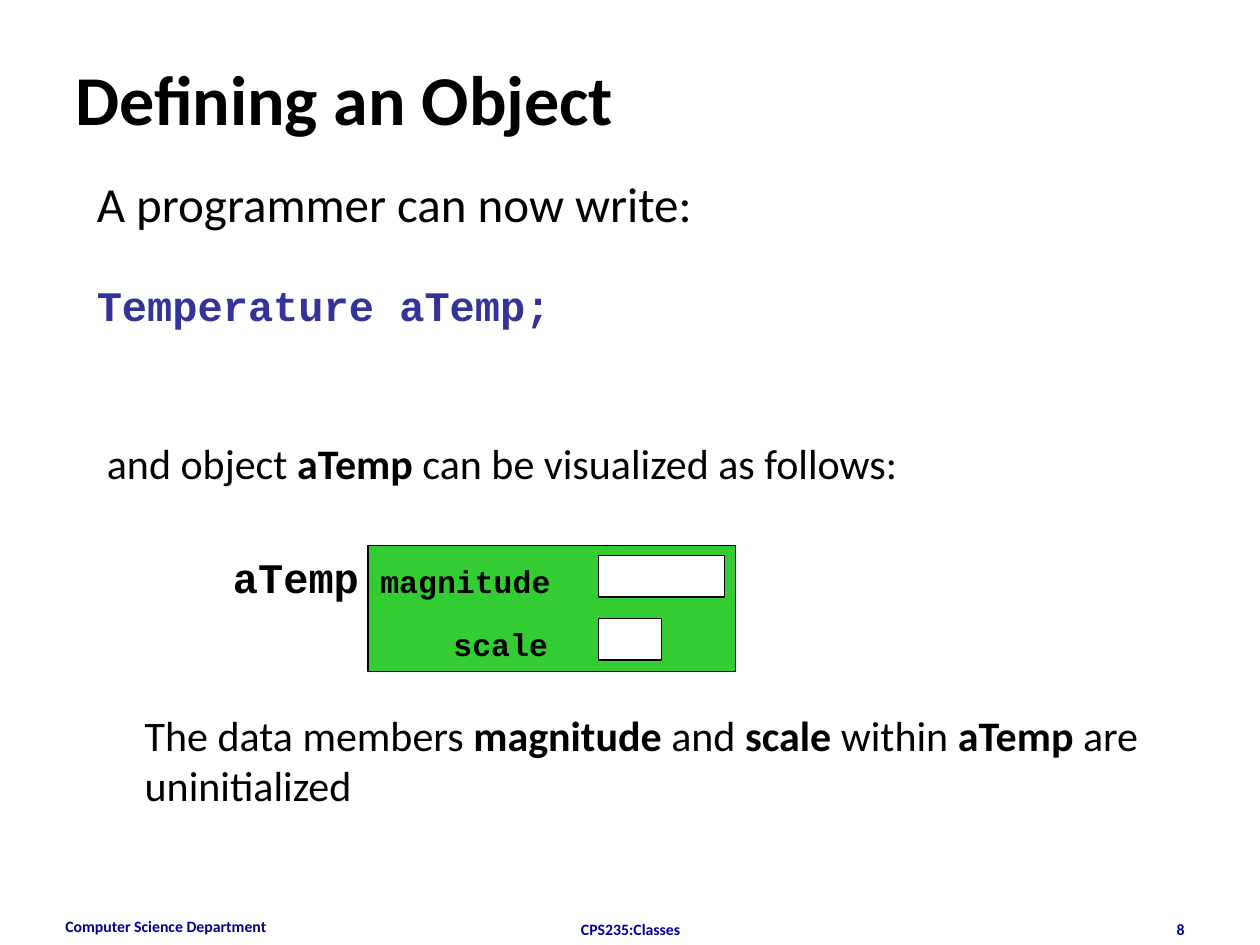
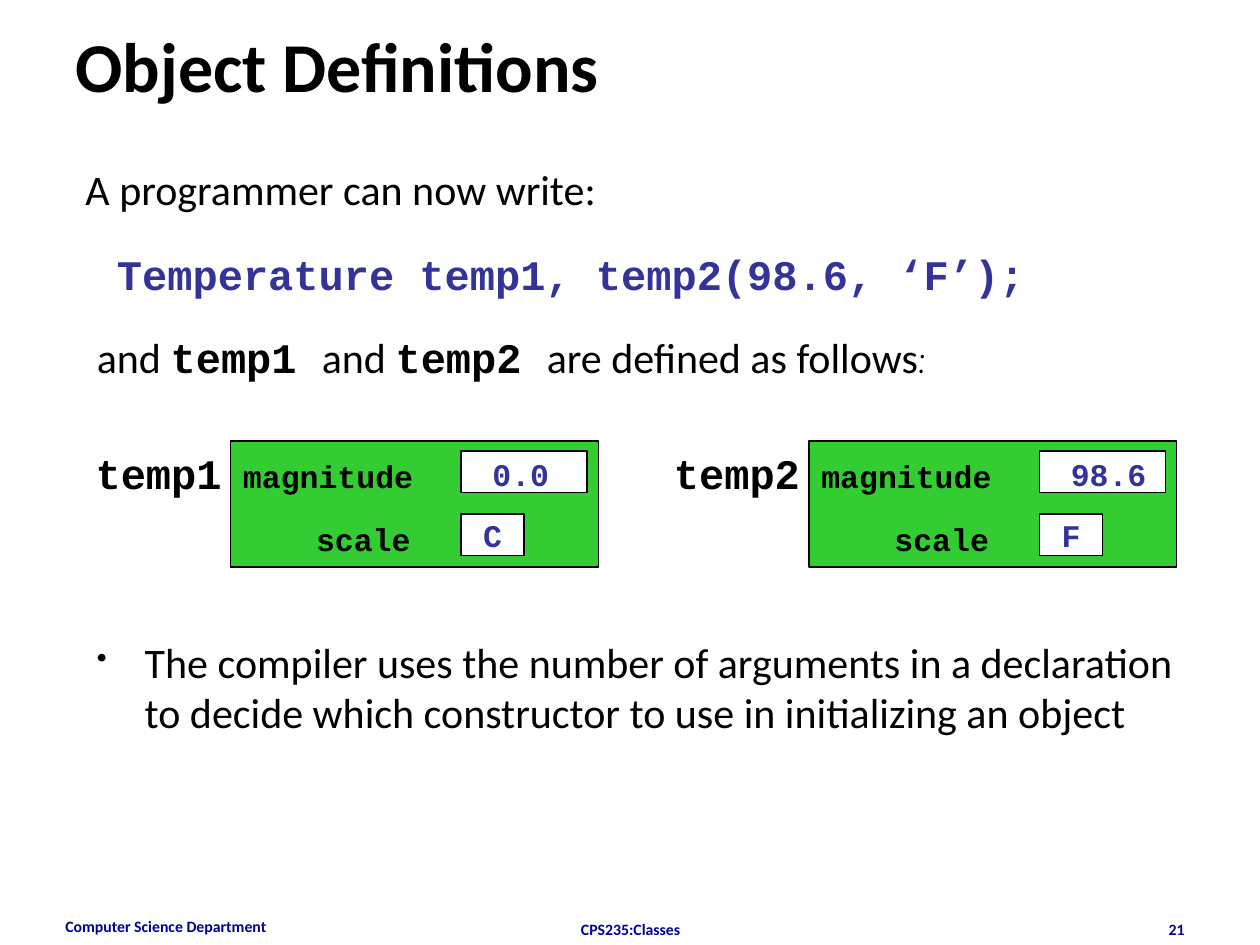
from lxml import etree
from pptx import Presentation
from pptx.dml.color import RGBColor
from pptx.enum.shapes import MSO_SHAPE as SHAPE
from pptx.enum.text import MSO_ANCHOR as ANCHOR, PP_ALIGN as ALIGN
from pptx.oxml.ns import qn
from pptx.util import Inches, Pt

COLORS = {"text": "000000", "code": "333399", "footer": "000099",
          "object": "33CC33", "member": "FFFFFF"}
SANS, MONO, COMIC = "Calibri", "Courier New", "Comic Neue"


def write(frame, runs, size=24, font=SANS, bold=False, color="text",
          align=ALIGN.LEFT, wrap=True, indent=0, bullet=None, spacing=None):
    """Fill a frame with one paragraph; each run is (text, font, bold)."""
    frame.word_wrap = wrap
    paragraph = frame.paragraphs[0]
    paragraph.alignment = align
    if spacing:
        paragraph.line_spacing = spacing
    properties = paragraph._p.get_or_add_pPr()
    if indent:
        properties.set("marL", str(Inches(indent)))
    if bullet:
        properties.set("indent", str(-Inches(indent)))
        bullet_color = etree.SubElement(properties, qn("a:buClr"))
        etree.SubElement(bullet_color, qn("a:srgbClr"), val=COLORS[color])
        etree.SubElement(properties, qn("a:buSzPct"), val="70000")
        etree.SubElement(properties, qn("a:buChar"), char=bullet)
    paragraph.font.size = Pt(size)
    paragraph.font.color.rgb = RGBColor.from_string(COLORS[color])
    if isinstance(runs, str):
        paragraph.font.name, paragraph.font.bold = font, bold
        paragraph.add_run().text = runs
        return
    for text, run_font, run_bold in runs:
        run = paragraph.add_run()
        run.text = text
        run.font.name, run.font.bold = run_font, run_bold


def draw_object(slide, left, top, name, magnitude="", scale=""):
    """Draw a Temperature object: its name, its box and its two members."""
    parts = slide.shapes.add_group_shape().shapes
    boxes = []
    for dx, dy, width, height, fill in ((0, 0, 2.92, 1, "object"),
                                        (1.83, 0.08, 1, 0.33, "member"),
                                        (1.83, 0.58, 0.5, 0.33, "member")):
        box = parts.add_shape(SHAPE.RECTANGLE, Inches(left + dx), Inches(top + dy),
                              Inches(width), Inches(height))
        box.shadow.inherit = False
        box.fill.solid()
        box.fill.fore_color.rgb = RGBColor.from_string(COLORS[fill])
        box.line.color.rgb = RGBColor.from_string(COLORS["text"])
        box.line.width = Pt(0.75)
        boxes.append(box)

    for dx, dy, width, height, label, size in ((0, 0.08, 2.08, 0.4, "magnitude", 18),
                                               (0.58, 0.58, 2.08, 0.4, "scale", 18),
                                               (-1.17, 0, 1.25, 0.5, name, 24)):
        label_box = parts.add_textbox(Inches(left + dx), Inches(top + dy),
                                      Inches(width), Inches(height))
        write(label_box.text_frame, label, size, MONO, True)

    if magnitude:
        value_box = parts.add_textbox(Inches(left + 1.98), Inches(top + 0.06),
                                      Inches(0.2 + 0.15 * len(magnitude)), Inches(0.4))
        write(value_box.text_frame, magnitude, 18, MONO, True, "code", wrap=False)
    if scale:
        scale_frame = boxes[2].text_frame
        scale_frame.vertical_anchor = ANCHOR.MIDDLE
        write(scale_frame, scale, 18, MONO, True, "code", ALIGN.CENTER, wrap=False)


prs = Presentation()
prs.slide_width, prs.slide_height = Inches(10), Inches(7.5)

TITLE = {"size": 40, "bold": True}
CODE = {"font": MONO, "bold": True, "color": "code", "spacing": 0.8}

# Content of each slide: number, text boxes (place, runs, style), objects
slides = [
    (8, [
        ((0.5, 0.3, 9, 0.95), "Defining an Object", TITLE),
        ((0.67, 1.33, 9.08, 5.5), "A programmer can now write:", {"size": 28}),
        ((0.67, 2.25, 9.33, 0.67), "Temperature aTemp;", CODE),
        ((0.75, 3.42, 9.08, 0.75),
         [("and object ", SANS, False), ("aTemp", SANS, True),
          (" can be visualized as follows:", SANS, False)], {}),
        ((0.67, 5.58, 9.08, 1.25),
         [("The data members ", SANS, False), ("magnitude", SANS, True),
          (" and ", SANS, False), ("scale", SANS, True), (" within ", SANS, False),
          ("aTemp", SANS, True), (" are uninitialized", SANS, False)],
         {"indent": 0.38}),
    ], [(2.92, 4.33, "aTemp")]),
    (21, [
        ((0.5, 0.13, 8.25, 0.7), "Object Definitions", TITLE),
        ((0.58, 1.25, 9.08, 0.75), "A programmer can now write:", {}),
        ((0.83, 2, 7.92, 0.67), "Temperature temp1, temp2(98.6, ‘F’);", CODE),
        ((0.67, 2.58, 9.08, 0.75),
         [("and ", SANS, False), ("temp1 ", MONO, True), ("and ", SANS, False),
          ("temp2 ", MONO, True), ("are defined as follows", SANS, False),
          (":", COMIC, False)], {}),
        ((0.67, 5, 9.08, 1.42),
         "The compiler uses the number of arguments in a declaration "
         "to decide which constructor to use in initializing an object",
         {"indent": 0.38, "bullet": "•"}),
    ], [(1.83, 3.5, "temp1", "0.0", "C"), (6.42, 3.5, "temp2", "98.6", "F")]),
]

for number, texts, objects in slides:
    slide = prs.slides.add_slide(prs.slide_layouts[6])

    # Footer
    for place, text, align in (
            ((0.42, 7.23, 2.33, 0.27), "Computer Science Department", ALIGN.LEFT),
            ((3.42, 7.25, 3.17, 0.1), "CPS235:Classes", ALIGN.CENTER),
            ((7.17, 7.25, 2.33, 0.1), str(number), ALIGN.RIGHT)):
        footer = slide.shapes.add_textbox(*map(Inches, place))
        write(footer.text_frame, text, 9, bold=True, color="footer", align=align)

    # Title and body text
    for place, runs, style in texts:
        body = slide.shapes.add_textbox(*map(Inches, place))
        if number == 8 and style is TITLE:
            body.text_frame.vertical_anchor = ANCHOR.MIDDLE
        write(body.text_frame, runs, **style)

    # Temperature objects
    for temperature in objects:
        draw_object(slide, *temperature)

prs.save("out.pptx")
